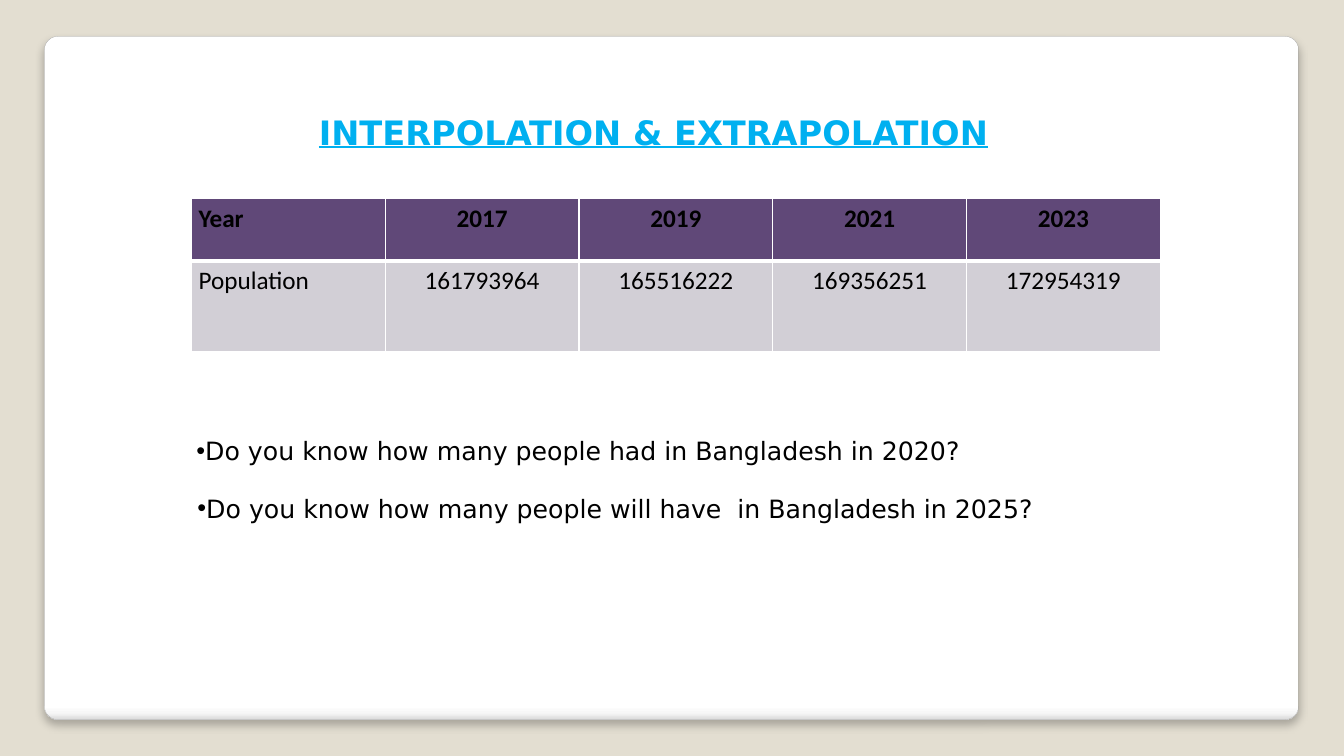
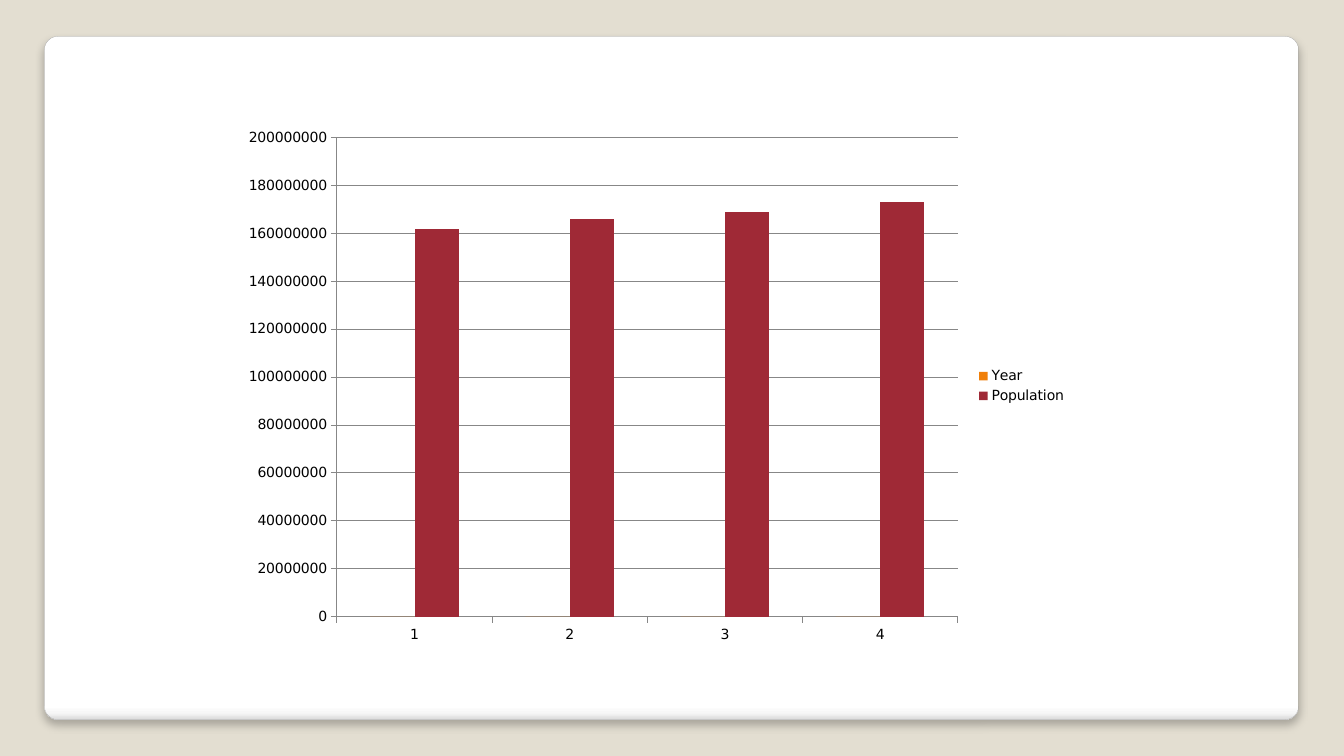
"""Build two slides on the population of Bangladesh: a table and a column chart."""
import pptx
import pptx.chart.data
import pptx.dml.color
import pptx.enum.chart
import pptx.enum.shapes
import pptx.enum.text
import pptx.oxml
import pptx.oxml.ns
import pptx.util

Inches = pptx.util.Inches
Pt = pptx.util.Pt
RGBColor = pptx.dml.color.RGBColor
Align = pptx.enum.text.PP_ALIGN
Tick = pptx.enum.chart.XL_TICK_MARK

SAND = RGBColor(0xE3, 0xDE, 0xD1)
EDGE = RGBColor(0xA4, 0xA4, 0xA4)
BLACK = RGBColor(0, 0, 0)
WHITE = RGBColor(0xFF, 0xFF, 0xFF)
MIST = RGBColor(0xF7, 0xF7, 0xF7)
SHADE = RGBColor(0xDA, 0xDA, 0xDA)
SKY = RGBColor(0x00, 0xB0, 0xF0)
PLUM = RGBColor(0x60, 0x48, 0x78)
LILAC = RGBColor(0xD2, 0xCF, 0xD6)
ORANGE = RGBColor(0xF0, 0x7F, 0x09)
RED = RGBColor(0x9F, 0x29, 0x36)
GREY = RGBColor(0x87, 0x87, 0x87)
SANS = "DejaVu Sans"


def add_xml(parent, text):
    head, rest = text.split(" ", 1)
    space = pptx.oxml.ns.nsdecls("a")
    parent.append(pptx.oxml.parse_xml(f"{head} {space} {rest}"))


def style(par, text, align, size, face, color, **extra):
    par.alignment = align
    run = par.add_run()
    run.text = text
    run.font.color.rgb = color
    for key, val in {"size": Pt(size), "name": face, **extra}.items():
        setattr(run.font, key, val)


prs = pptx.Presentation()
prs.slide_width = Inches(13.33)
prs.slide_height = Inches(7.5)
blank = prs.slide_layouts[6]
blank.background.fill.solid()
blank.background.fill.fore_color.rgb = SAND
first, second = [prs.slides.add_slide(blank) for _ in range(2)]

panel = first.shapes.add_shape(
    pptx.enum.shapes.MSO_SHAPE.ROUNDED_RECTANGLE,
    Inches(0.44), Inches(0.36), Inches(12.44), Inches(6.78))
panel.adjustments[0] = 0.02
panel.line.color.rgb = EDGE
panel.line.width = Pt(0.16)
panel.fill.gradient()
panel.fill.gradient_angle = 270
stops = panel.element.spPr.find(".//" + pptx.oxml.ns.qn("a:gsLst"))
for stop in list(stops):
    stops.remove(stop)
for spot, color in [(0, WHITE), (98, WHITE), (99, MIST), (100, SHADE)]:
    add_xml(stops, f'<a:gs pos="{spot * 1000}"><a:srgbClr val="{color}"/></a:gs>')
panel.shadow.inherit = False
add_xml(panel.element.spPr.find(pptx.oxml.ns.qn("a:effectLst")),
        f'<a:outerShdw blurRad="{Pt(6)}" dist="{Pt(4)}" dir="5400000" algn="t" rotWithShape="0">'
        f'<a:srgbClr val="{BLACK}"><a:alpha val="25000"/></a:srgbClr></a:outerShdw>')
blank.shapes.element.append(panel.element)

rows = [
    ["Year", "2017", "2019", "2021", "2023"],
    ["Population", "161793964", "165516222", "169356251", "172954319"],
]
table = first.shapes.add_table(
    2, 5, Inches(1.9), Inches(1.97), Inches(9.61), Inches(1.52)).table
for row, high in zip(table.rows, [0.62, 0.9]):
    row.height = Inches(high)
for i, row in enumerate(rows):
    for j, text in enumerate(row):
        cell = table.cell(i, j)
        for side in ["left", "right", "top", "bottom"]:
            inset = 0.07 if side in ("left", "right") else 0
            setattr(cell, f"margin_{side}", Inches(inset))
            inner = side == ("top" if i else "bottom")
            add_xml(cell._tc.get_or_add_tcPr(),
                    f'<a:ln{side[0].upper()} w="{Pt(3 if inner else 1)}"><a:solidFill>'
                    f'<a:srgbClr val="{WHITE}"/></a:solidFill></a:ln{side[0].upper()}>')
        cell.fill.solid()
        cell.fill.fore_color.rgb = LILAC if i else PLUM
        par = cell.text_frame.paragraphs[0]
        par.line_spacing = 1.15
        style(par, text, Align.CENTER if j else Align.LEFT,
              18, "Calibri", BLACK, bold=i == 0)

title = {"bold": True, "underline": True}
texts = [
    ("INTERPOLATION & EXTRAPOLATION", 2.19, 1.06, 8.58, 0.5, Align.CENTER, 24, SKY, title),
    ("Do you know how many people had in Bangladesh in 2020?",
     1.85, 4.27, 8.36, 0.4, Align.JUSTIFY, 18, BLACK, {}),
    ("Do you know how many people will have  in Bangladesh in 2025?",
     1.86, 4.84, 9.11, 0.4, Align.JUSTIFY, 18, BLACK, {}),
]
for text, left, top, wide, high, align, size, color, extra in texts:
    frame = first.shapes.add_textbox(
        Inches(left), Inches(top), Inches(wide), Inches(high)).text_frame
    frame.word_wrap = True
    frame.auto_size = pptx.enum.text.MSO_AUTO_SIZE.SHAPE_TO_FIT_TEXT
    par = frame.paragraphs[0]
    style(par, text, align, size, SANS, color, **extra)
    if align == Align.JUSTIFY:
        for mark in ['<a:buFont typeface="Arial"/>', '<a:buChar char="•"/>']:
            add_xml(par._p.get_or_add_pPr(), mark)

data = pptx.chart.data.CategoryChartData()
data.categories = ["1", "2", "3", "4"]
data.add_series("Year", [0, 0, 0, 0])
data.add_series("Population", [162000000, 166000000, 169000000, 173000000])
chart = second.shapes.add_chart(
    pptx.enum.chart.XL_CHART_TYPE.COLUMN_CLUSTERED,
    Inches(2.3), Inches(1.18), Inches(8.38), Inches(5.3), data).chart
chart.has_title = False
chart.font.name = SANS
chart.font.size = Pt(10)
chart.font.color.rgb = BLACK
chart.has_legend = True
chart.legend.position = pptx.enum.chart.XL_LEGEND_POSITION.RIGHT
chart.legend.include_in_layout = False
plot = chart.plots[0]
plot.vary_by_categories = False
plot.gap_width = 150
plot.overlap = 0
for series, color in zip(plot.series, [ORANGE, RED]):
    series.format.fill.solid()
    series.format.fill.fore_color.rgb = color
chart.value_axis.has_major_gridlines = True
for axis in [chart.category_axis, chart.value_axis]:
    axis.major_tick_mark = Tick.OUTSIDE
    axis.minor_tick_mark = Tick.NONE
for part in [chart.category_axis, chart.value_axis, chart.value_axis.major_gridlines]:
    part.format.line.color.rgb = GREY

prs.save("out.pptx")
